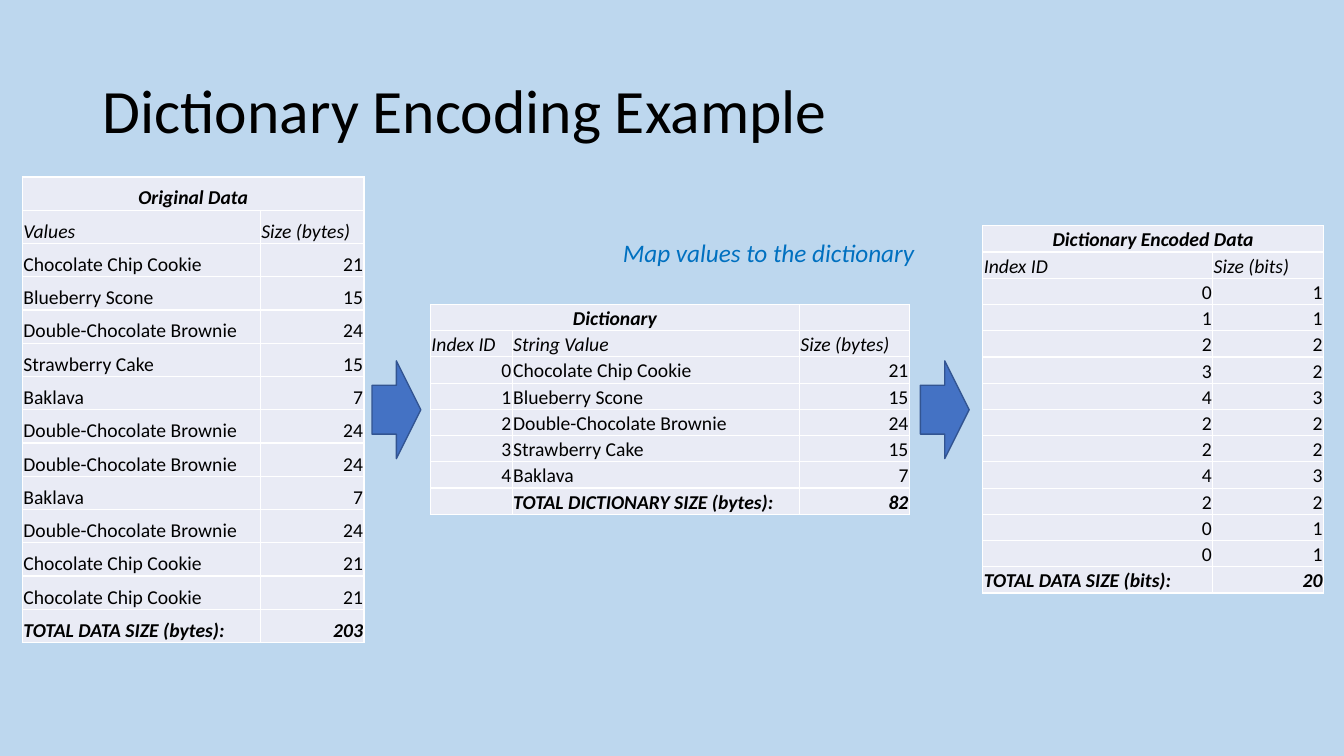
from dataclasses import dataclass
from lxml.etree import SubElement
from pptx import Presentation
from pptx.dml.color import RGBColor as Color
from pptx.enum.shapes import MSO_SHAPE as Shape
from pptx.enum.text import MSO_ANCHOR as Anchor, PP_ALIGN as Align
from pptx.oxml import parse_xml
from pptx.oxml.ns import nsdecls, qn
from pptx.util import Inches, Pt


@dataclass(frozen=True)
class Theme:
    font: str = "Calibri"
    backdrop: str = "BDD7EE"
    ink: str = "000000"
    accent: str = "0070C0"
    cell: str = "E9EBF5"
    border: str = "FFFFFF"
    arrow: str = "4472C4"
    arrow_edge: str = "325491"
    title_size: int = 44
    label_size: int = 18
    table_size: int = 14


theme = Theme()
deck = Presentation()
deck.slide_width, deck.slide_height = Inches(13.33), Inches(7.5)
page = deck.slides.add_slide(deck.slide_layouts[6])
page.background.fill.solid()
page.background.fill.fore_color.rgb = Color.from_string(theme.backdrop)


def percent(left, top, width, height):
    across, down = deck.slide_width / 100, deck.slide_height / 100
    return [round(n) for n in (left * across, top * down, width * across, height * down)]


def write(frame, text, size, color=theme.ink, bold=False, italic=False, align=Align.LEFT, spacing=None):
    para = frame.paragraphs[0]
    para.alignment = align
    para.line_spacing = spacing
    if not text:
        SubElement(para._p, qn("a:endParaRPr"), sz=str(size * 100))
        return
    span = para.add_run()
    span.text = text
    span.font.name, span.font.size = theme.font, Pt(size)
    span.font.bold, span.font.italic = bold, italic
    span.font.color.rgb = Color.from_string(color)


title = page.shapes.add_textbox(*percent(6.9, 5.33, 86.25, 19.33)).text_frame
title.word_wrap = True
title.vertical_anchor = Anchor.MIDDLE
write(title, "Dictionary Encoding Example", theme.title_size, spacing=0.9)

pastries = ["Chocolate Chip Cookie", "Blueberry Scone", "Double-Chocolate Brownie", "Strawberry Cake", "Baklava"]
byte_sizes = [21, 15, 24, 15, 7]
encoded = [0, 1, 2, 3, 4, 2, 2, 4, 2, 0, 0]
bit_sizes = [max(1, index.bit_length()) for index in encoded]

original_rows = [
    ["Original Data", ""],
    ["Values", "Size (bytes)"],
    *[[pastries[index], byte_sizes[index]] for index in encoded],
    ["TOTAL DATA SIZE (bytes):", sum(byte_sizes[index] for index in encoded)],
]
dictionary_rows = [
    ["Dictionary", "", ""],
    ["Index ID", "String Value", "Size (bytes)"],
    *[list(entry) for entry in zip(range(len(pastries)), pastries, byte_sizes)],
    ["", "TOTAL DICTIONARY SIZE (bytes):", sum(byte_sizes)],
]
encoded_rows = [
    ["Dictionary Encoded Data", ""],
    ["Index ID", "Size (bits)"],
    *[list(entry) for entry in zip(encoded, bit_sizes)],
    ["TOTAL DATA SIZE (bits):", sum(bit_sizes)],
]
tables = [
    (1.67, 23.4, [17.7, 7.72], 4.4, original_rows),
    (32.03, 40.27, [6.08, 21.38, 8.18], 3.47, dictionary_rows),
    (73.13, 29.87, [17.1, 8.25], 3.47, encoded_rows),
]

for left, top, columns, row_height, rows in tables:
    area = percent(left, top, sum(columns), row_height * len(rows))
    table = page.shapes.add_table(len(rows), len(columns), *area).table
    table.first_row = table.horz_banding = False
    for column, share in zip(table.columns, columns):
        column.width = round(deck.slide_width * share / 100)
    table.cell(0, 0).merge(table.cell(0, 1))
    for row_number, values in enumerate(rows):
        table.rows[row_number].height = round(deck.slide_height * row_height / 100)
        heading, total = row_number == 0, row_number == len(rows) - 1
        for column_number, value in enumerate(values):
            cell = table.cell(row_number, column_number)
            cell.margin_left = cell.margin_right = cell.margin_top = Inches(0.01)
            cell.margin_bottom = 0
            cell.vertical_anchor = Anchor.BOTTOM
            for side in ("lnL", "lnR", "lnT", "lnB"):
                cell._tc.get_or_add_tcPr().append(parse_xml(
                    f'<a:{side} {nsdecls("a")} w="12700"><a:solidFill>'
                    f'<a:srgbClr val="{theme.border}"/></a:solidFill></a:{side}>'))
            cell.fill.solid()
            cell.fill.fore_color.rgb = Color.from_string(theme.cell)
            align = Align.CENTER if heading else Align.RIGHT if isinstance(value, int) else Align.LEFT
            write(cell.text_frame, str(value), theme.table_size, bold=heading or total,
                  italic=row_number < 2 or total, align=align)

for left in (27.68, 68.48):
    arrow = page.shapes.add_shape(Shape.RIGHT_ARROW, *percent(left, 47.73, 3.63, 12.93))
    arrow.shadow.inherit = False
    arrow.fill.solid()
    arrow.fill.fore_color.rgb = Color.from_string(theme.arrow)
    arrow.line.color.rgb = Color.from_string(theme.arrow_edge)
    arrow.line.width = Pt(1)

label = page.shapes.add_textbox(*percent(45.6, 30.8, 25.35, 5.33)).text_frame
label.word_wrap = True
write(label, "Map values to the dictionary", theme.label_size, color=theme.accent, italic=True)

deck.save("out.pptx")
